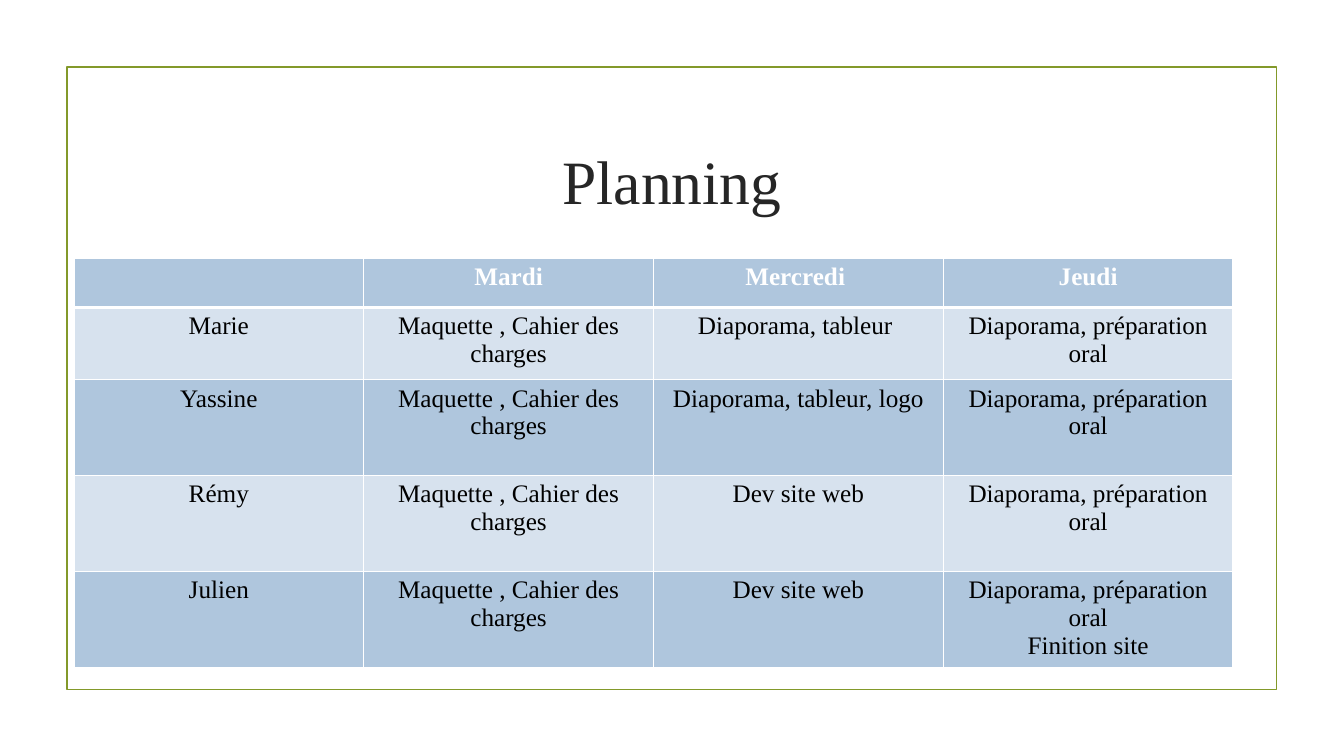
import dataclasses

import lxml.etree
import pptx
import pptx.dml.color
import pptx.enum.shapes
import pptx.enum.text
import pptx.oxml.ns
import pptx.util

Pt = pptx.util.Pt


@dataclasses.dataclass(frozen=True)
class Theme:
    """Colours, font and type sizes of the slide."""
    font: str = "Times New Roman"
    frame: str = "83992A"
    title: str = "262626"
    white: str = "FFFFFF"
    text: str = "000000"
    dark_band: str = "AFC6DD"
    light_band: str = "D7E2EE"
    title_size: int = 44
    table_size: int = 18


THEME = Theme()
HEADINGS = ["", "Mardi", "Mercredi ", "Jeudi"]
MOCKUP = "Maquette , Cahier des charges"
ORAL = "Diaporama, préparation oral"
SCHEDULE = [
    HEADINGS,
    ["Marie", MOCKUP, "Diaporama, tableur ", ORAL],
    ["Yassine", MOCKUP, "Diaporama, tableur, logo", ORAL],
    ["Rémy", MOCKUP, "Dev site web", ORAL],
    ["Julien", MOCKUP, "Dev site web", ORAL + "\nFinition site"],
]
ROW_HEIGHTS = [35, 51.5, 68.5, 68.5, 68.5]
COLUMN_WIDTH = 207


def rgb(value):
    """Return the colour for a hexadecimal value."""
    return pptx.dml.color.RGBColor.from_string(value)


def format_text(frame, size, color, bold=False):
    """Centre every paragraph and format its runs."""
    for para in frame.paragraphs:
        para.alignment = pptx.enum.text.PP_ALIGN.CENTER
        for span in para.runs:
            span.font.name = THEME.font
            span.font.size = Pt(size)
            span.font.bold = bold
            span.font.color.rgb = rgb(color)


def add_frame(page):
    """Draw the thin border around the page content."""
    box = page.shapes.add_shape(
        pptx.enum.shapes.MSO_SHAPE.RECTANGLE, Pt(47.8), Pt(48), Pt(864), Pt(444.5))
    box.shadow.inherit = False
    box.fill.background()
    box.line.color.rgb = rgb(THEME.frame)
    box.line.width = Pt(1.25)


def set_title(page, text):
    """Place and format the title placeholder."""
    title = page.shapes.title
    title.left, title.top, title.width, title.height = Pt(102), Pt(77), Pt(756), Pt(103)
    title.text_frame.text = text
    title.text_frame.vertical_anchor = pptx.enum.text.MSO_ANCHOR.MIDDLE
    format_text(title.text_frame, THEME.title_size, THEME.title)


def set_borders(cell, widths):
    """Give a cell white borders with the width in points for each side."""
    properties = cell._tc.get_or_add_tcPr()
    for side, width in widths.items():
        line = lxml.etree.SubElement(
            properties, pptx.oxml.ns.qn(f"a:ln{side}"), w=str(int(Pt(width))))
        fill = lxml.etree.SubElement(line, pptx.oxml.ns.qn("a:solidFill"))
        lxml.etree.SubElement(fill, pptx.oxml.ns.qn("a:srgbClr"), val=THEME.white)


def fill_cell(cell, text, row):
    """Write one schedule cell with its band colour and borders."""
    is_header = row == 0
    set_borders(cell, {"L": 1, "R": 1, "T": 3 if row == 1 else 1, "B": 3 if is_header else 1})
    cell.fill.solid()
    cell.fill.fore_color.rgb = rgb(THEME.light_band if row % 2 else THEME.dark_band)
    cell.text_frame.text = text
    format_text(cell.text_frame, THEME.table_size,
                THEME.white if is_header else THEME.text, is_header)


def add_schedule(page):
    """Add the schedule table, one row per person and one column per day."""
    table = page.shapes.add_table(
        len(SCHEDULE), len(HEADINGS), Pt(52.8), Pt(184.6),
        Pt(COLUMN_WIDTH * len(HEADINGS)), Pt(sum(ROW_HEIGHTS))).table
    for column in table.columns:
        column.width = Pt(COLUMN_WIDTH)
    for row, (height, texts) in enumerate(zip(ROW_HEIGHTS, SCHEDULE)):
        table.rows[row].height = Pt(height)
        for column, text in enumerate(texts):
            fill_cell(table.cell(row, column), text, row)


def main():
    """Build and save the slide."""
    deck = pptx.Presentation()
    deck.slide_width, deck.slide_height = Pt(960), Pt(540)
    page = deck.slides.add_slide(deck.slide_layouts.get_by_name("Title Only"))
    add_frame(page)
    set_title(page, "Planning")
    add_schedule(page)
    deck.save("out.pptx")


if __name__ == "__main__":
    main()
